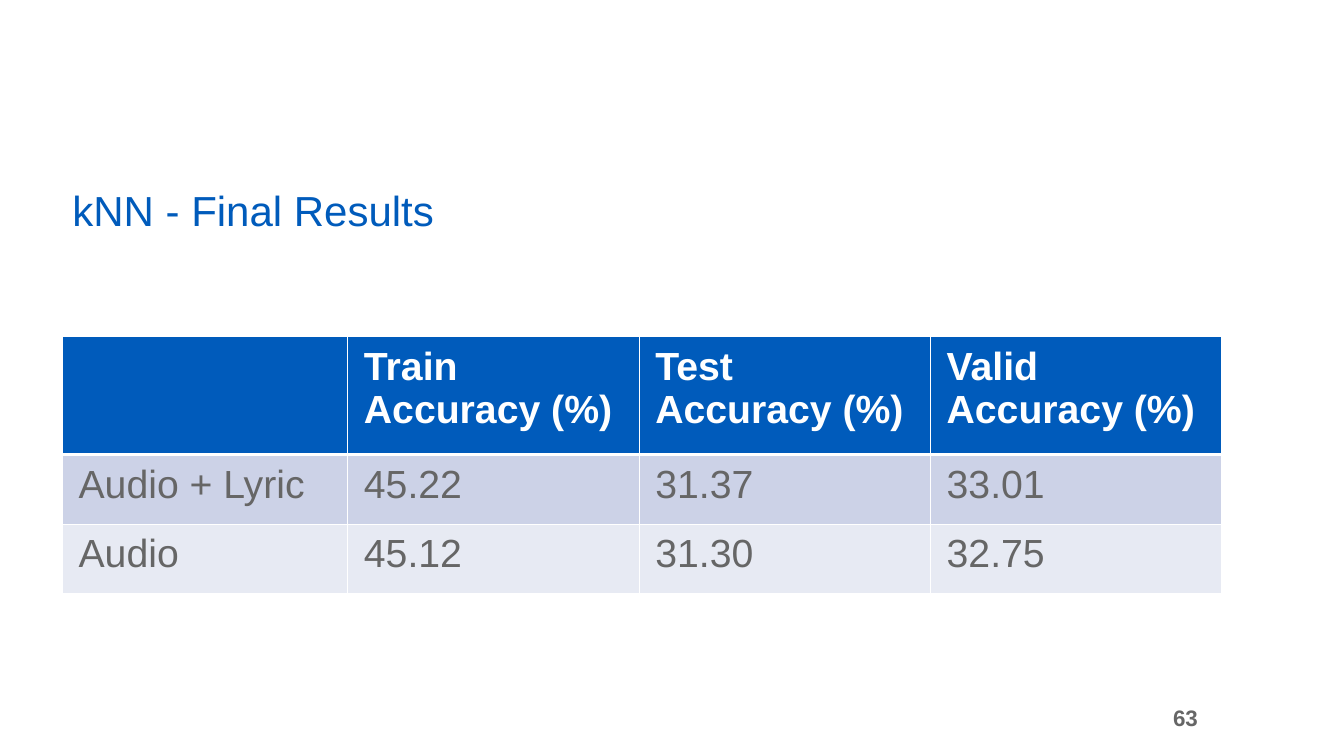
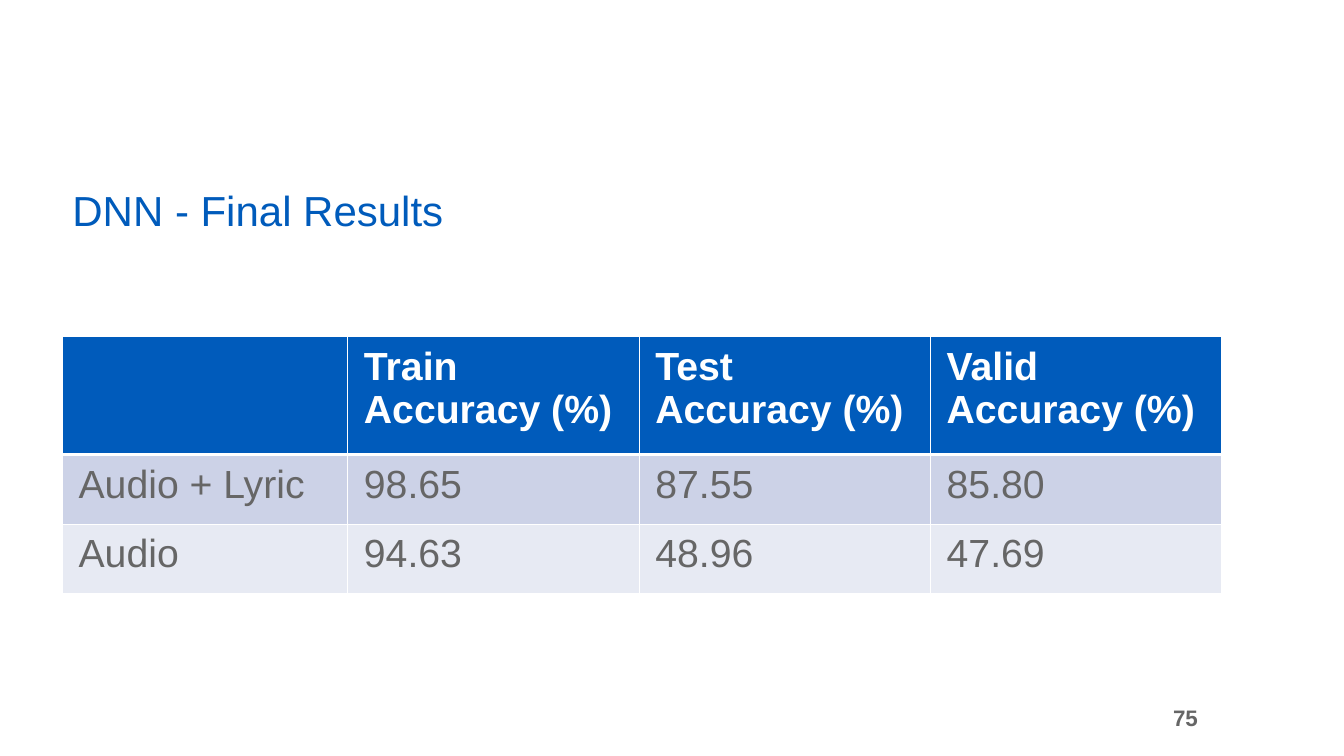
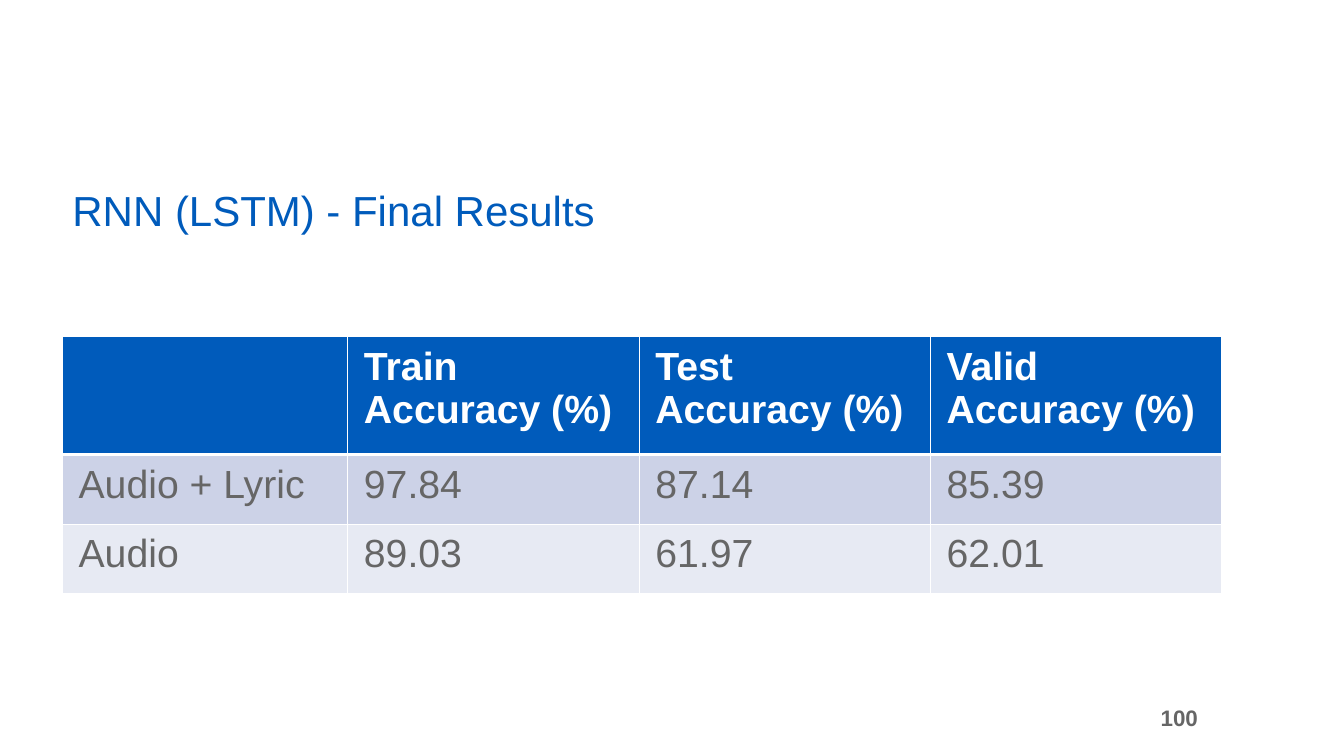
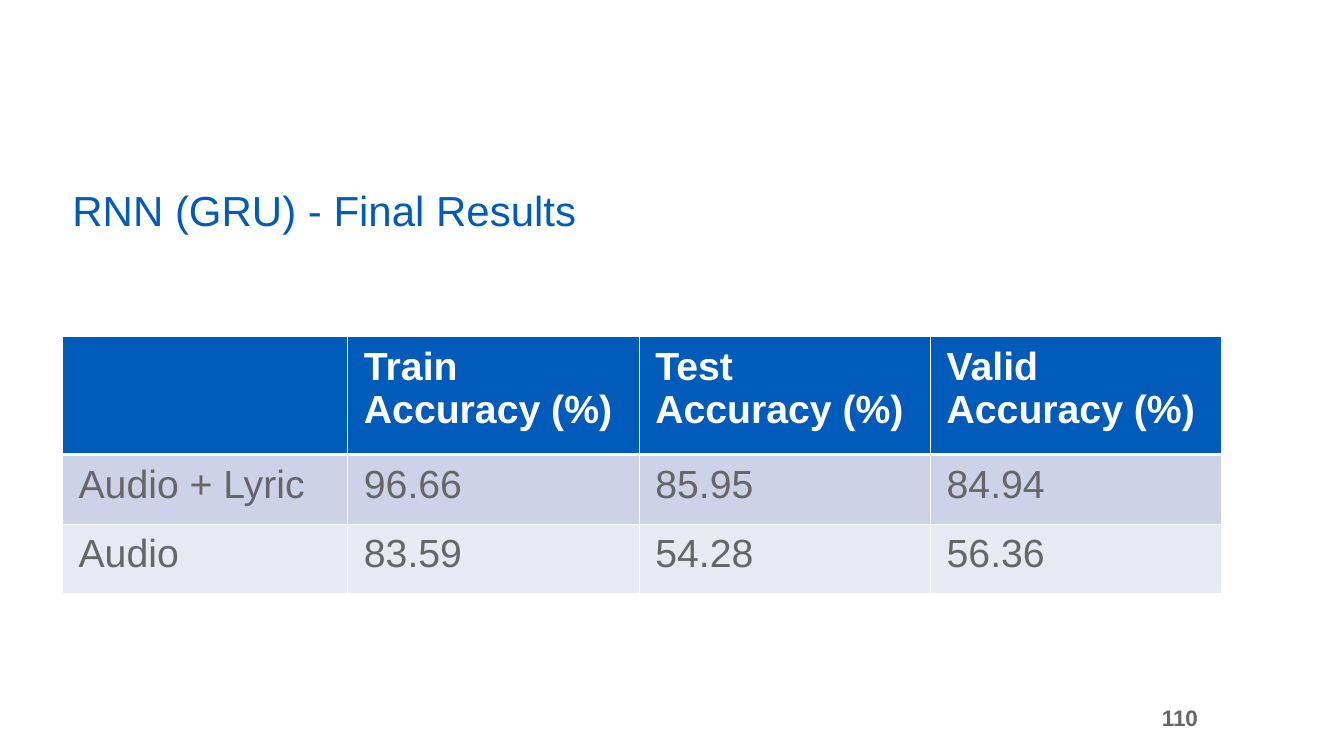
from lxml.etree import SubElement
from pptx import Presentation
from pptx.dml.color import RGBColor
from pptx.enum.text import MSO_ANCHOR, PP_ALIGN
from pptx.oxml.ns import qn
from pptx.util import Inches, Pt

COLORS = {
    "blue": "005BBB",
    "gray": "666666",
    "white": "FFFFFF",
    "dark_band": "CCD2E7",
    "light_band": "E7EAF3",
}
FONT = "Arial"
HEADER = ("", "Train Accuracy (%)", "Test Accuracy (%)", "Valid Accuracy (%)")
RESULTS = [
    ("kNN", 63, [("Audio + Lyric", "45.22", "31.37", "33.01"),
                 ("Audio", "45.12", "31.30", "32.75")]),
    ("DNN", 75, [("Audio + Lyric", "98.65", "87.55", "85.80"),
                 ("Audio", "94.63", "48.96", "47.69")]),
    ("RNN (LSTM)", 100, [("Audio + Lyric", "97.84", "87.14", "85.39"),
                         ("Audio", "89.03", "61.97", "62.01")]),
    ("RNN (GRU)", 110, [("Audio + Lyric", "96.66", "85.95", "84.94"),
                        ("Audio", "83.59", "54.28", "56.36")]),
]
LEFT, WIDTH = 0.62, 11.5
COLUMN_WIDTHS = (2.83, 2.89, 2.89, 2.89)
ROW_HEIGHTS = (1.17, 0.69, 0.69)
ROW_FILLS = ("blue", "dark_band", "light_band")


def write_text(frame, text, size, color, bold=False, align=PP_ALIGN.LEFT,
               anchor=MSO_ANCHOR.TOP, margins=(0.1, 0.05), line_spacing=None):
    frame.word_wrap = True
    frame.vertical_anchor = anchor
    frame.margin_left = frame.margin_right = Inches(margins[0])
    frame.margin_top = frame.margin_bottom = Inches(margins[1])
    paragraph = frame.paragraphs[0]
    paragraph.alignment = align
    paragraph.line_spacing = line_spacing
    run = paragraph.add_run()
    run.text = text
    run.font.name = FONT
    run.font.size = Pt(size)
    run.font.bold = bold
    run.font.color.rgb = RGBColor.from_string(COLORS[color])


def add_text(slide, box, text, **text_format):
    shape = slide.shapes.add_textbox(*(Inches(length) for length in box))
    write_text(shape.text_frame, text, **text_format)


def set_borders(cell, top, bottom):
    properties = cell._tc.get_or_add_tcPr()
    for side, width in (("L", 1), ("R", 1), ("T", top), ("B", bottom)):
        line = SubElement(properties, qn(f"a:ln{side}"), w=str(Pt(width)))
        fill = SubElement(line, qn("a:solidFill"))
        SubElement(fill, qn("a:srgbClr"), val=COLORS["white"])


def add_results_table(slide, rows):
    table = slide.shapes.add_table(
        len(rows), len(HEADER), Inches(LEFT), Inches(3.34),
        Inches(WIDTH), Inches(sum(ROW_HEIGHTS))).table
    for column, width in zip(table.columns, COLUMN_WIDTHS):
        column.width = Inches(width)
    for index, values in enumerate(rows):
        is_header = index == 0
        table.rows[index].height = Inches(ROW_HEIGHTS[index])
        for cell, value in zip(table.rows[index].cells, values):
            set_borders(cell, top=3 if index == 1 else 1, bottom=3 if is_header else 1)
            cell.fill.solid()
            cell.fill.fore_color.rgb = RGBColor.from_string(COLORS[ROW_FILLS[index]])
            if value:
                cell.margin_left = cell.margin_right = Inches(0.16)
                cell.margin_top = cell.margin_bottom = Inches(0.08)
                write_text(cell.text_frame, value, size=28, bold=is_header,
                           color="white" if is_header else "gray",
                           margins=(0.16, 0.08))
                cell.vertical_anchor = MSO_ANCHOR.TOP


def add_results_slide(presentation, model, number, rows):
    slide = presentation.slides.add_slide(presentation.slide_layouts[6])
    add_text(slide, (11.22, 6.83, 0.79, 0.58), str(number), size=16, color="gray",
             bold=True, align=PP_ALIGN.RIGHT, anchor=MSO_ANCHOR.MIDDLE,
             margins=(0.13, 0.07))
    add_text(slide, (LEFT, 1.44, WIDTH, 0.95), f"{model} - Final Results", size=30,
             color="blue", anchor=MSO_ANCHOR.BOTTOM, line_spacing=0.9)
    add_results_table(slide, [HEADER, *rows])


def main():
    presentation = Presentation()
    presentation.slide_width = Inches(13.33)
    presentation.slide_height = Inches(7.5)
    for model, number, rows in RESULTS:
        add_results_slide(presentation, model, number, rows)
    presentation.save("out.pptx")


if __name__ == "__main__":
    main()
